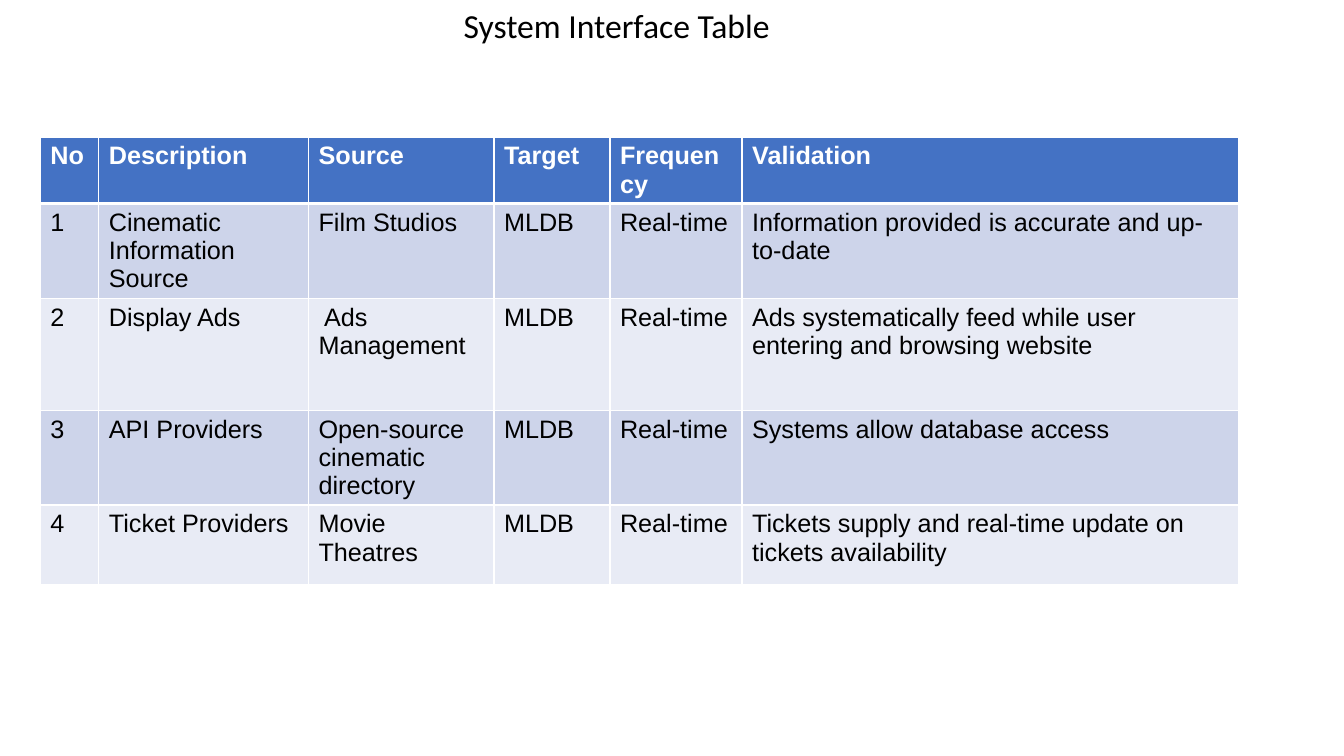
from lxml.etree import SubElement
from pptx import Presentation
from pptx.dml.color import RGBColor
from pptx.oxml.ns import qn
from pptx.util import Inches, Pt

WHITE = RGBColor(0xFF, 0xFF, 0xFF)
BLACK = RGBColor(0x00, 0x00, 0x00)
HEADER_BLUE = RGBColor(0x44, 0x72, 0xC4)
BANDS = (RGBColor(0xE8, 0xEB, 0xF5), RGBColor(0xCD, 0xD4, 0xEA))

COLUMNS = (0.58, 2.08, 1.84, 1.15, 1.31, 4.93)
ROWS = (0.65, 0.94, 1.11, 0.94, 0.79)
HEADINGS = ("No", "Description", "Source", "Target", "Frequency", "Validation")
INTERFACES = (
    ("Cinematic Information Source", "Film Studios",
     "Information provided is accurate and up-to-date"),
    ("Display Ads", " Ads Management",
     "Ads systematically feed while user entering and browsing website"),
    ("API Providers", "Open-source cinematic directory",
     "Systems allow database access"),
    ("Ticket Providers", "Movie Theatres",
     "Tickets supply and real-time update on tickets availability"),
)


def style_font(p, name, size, color, bold=False):
    p.font.name = name
    p.font.size = Pt(size)
    p.font.bold = bold
    p.font.color.rgb = color


def add_title(s, text):
    tf = s.shapes.add_textbox(Inches(4.5), 0, Inches(3.27), Inches(0.5)).text_frame
    tf.word_wrap = True
    tf.text = text
    style_font(tf.paragraphs[0], "Calibri", 24, BLACK)


def set_borders(cell, top, bottom):
    tc_pr = cell._tc.get_or_add_tcPr()
    for side, width in (("L", 1), ("R", 1), ("T", top), ("B", bottom)):
        ln = SubElement(tc_pr, qn(f"a:ln{side}"), w=str(Pt(width)))
        fill = SubElement(ln, qn("a:solidFill"))
        SubElement(fill, qn("a:srgbClr"), val=str(WHITE))


def fill_cell(cell, text, row):
    header = row == 0
    set_borders(cell, 3 if row == 1 else 1, 3 if header else 1)
    cell.fill.solid()
    cell.fill.fore_color.rgb = HEADER_BLUE if header else BANDS[row % 2]
    cell.text = text
    style_font(cell.text_frame.paragraphs[0], "Arial", 18,
               WHITE if header else BLACK, header)


def add_interface_table(s):
    records = [HEADINGS] + [
        (str(number), description, source, "MLDB", "Real-time", validation)
        for number, (description, source, validation) in enumerate(INTERFACES, 1)
    ]
    table = s.shapes.add_table(len(ROWS), len(COLUMNS), Inches(0.4), Inches(1.36),
                               Inches(sum(COLUMNS)), Inches(sum(ROWS))).table
    for column, width in zip(table.columns, COLUMNS):
        column.width = Inches(width)
    for row, height in zip(table.rows, ROWS):
        row.height = Inches(height)
    for i, record in enumerate(records):
        for j, text in enumerate(record):
            fill_cell(table.cell(i, j), text, i)


def main():
    prs = Presentation()
    prs.slide_width, prs.slide_height = Inches(13.33), Inches(7.5)
    s = prs.slides.add_slide(prs.slide_layouts[6])
    add_interface_table(s)
    add_title(s, "System Interface Table")
    prs.save("out.pptx")


if __name__ == "__main__":
    main()
